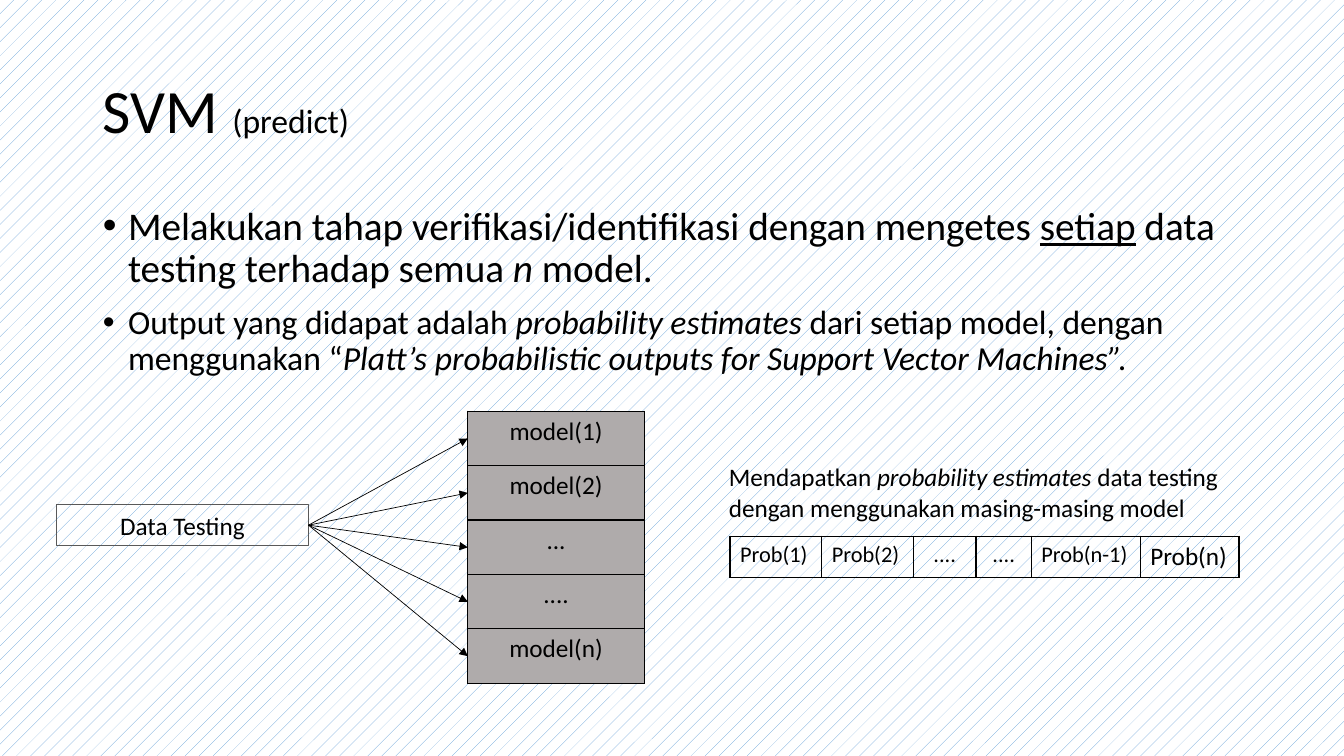
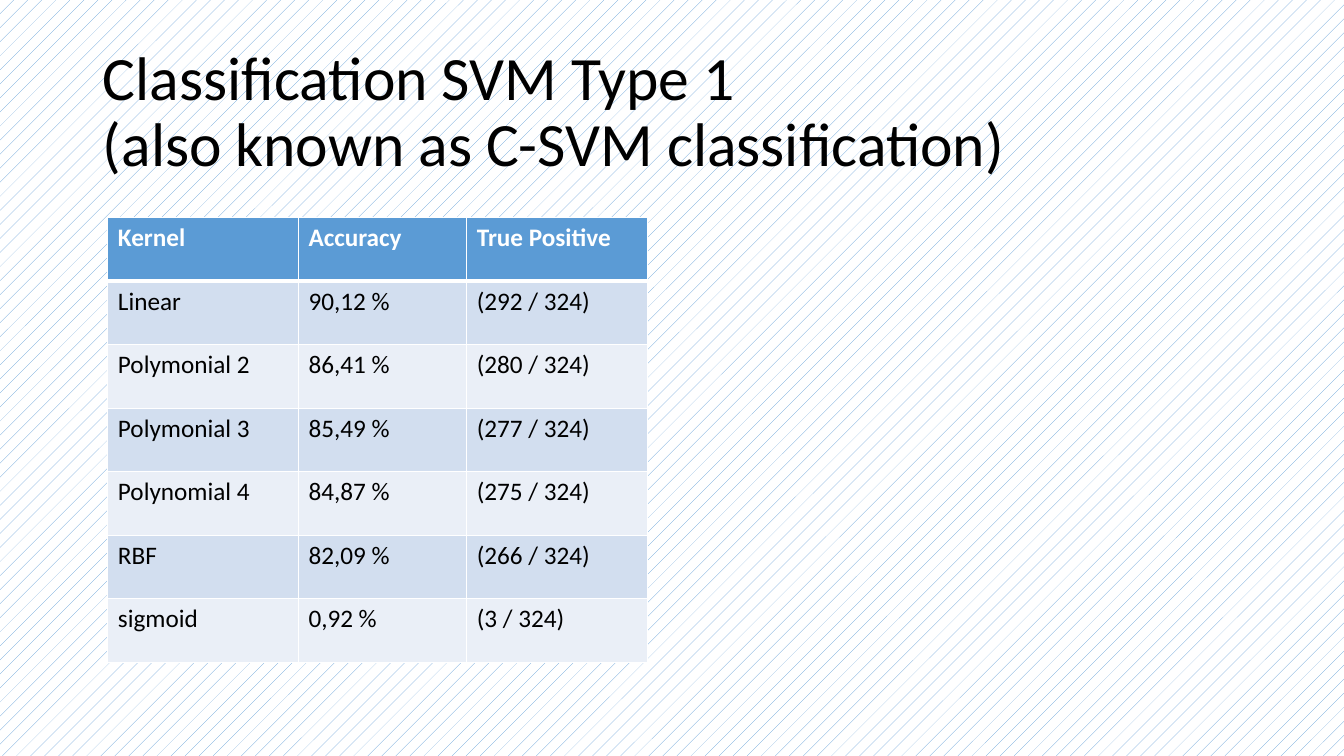
from dataclasses import dataclass

from lxml import etree
from pptx import Presentation
from pptx.dml.color import RGBColor
from pptx.enum.dml import MSO_PATTERN
from pptx.enum.shapes import MSO_CONNECTOR, MSO_SHAPE
from pptx.enum.text import MSO_ANCHOR, MSO_AUTO_SIZE, PP_ALIGN
from pptx.oxml.ns import qn
from pptx.util import Inches, Pt


@dataclass(frozen=True)
class Theme:
    font: str = "Calibri"
    ink: str = "000000"
    paper: str = "FFFFFF"
    accent: str = "5B9BD5"
    bands: tuple = ("D2DEEF", "EAEFF7")
    model: str = "AFABAB"
    outline: str = "595959"
    title: int = 44
    bullet: int = 28
    detail: int = 24
    label: int = 18
    small: int = 16


T = Theme()

PREDICT_TITLE = ["SVM ", ("(predict)", {"size": T.detail})]
ITALIC = {"italic": True}
BULLETS = [
    (T.bullet, ["Melakukan tahap verifikasi/identifikasi dengan mengetes ",
                ("setiap", {"underline": True}),
                " data testing terhadap semua ", ("n", ITALIC), " model."]),
    (T.detail, ["Output yang didapat adalah ", ("probability estimates ", ITALIC),
                "dari setiap model, dengan menggunakan “",
                ("Platt’s probabilistic outputs for Support Vector Machines", ITALIC),
                ("”.", ITALIC)]),
]
MODELS = ["model(1)", "model(2)", "...", "....", "model(n)"]
MODEL_LEFT, MODEL_TOP, MODEL_ROW = 4.64, 4.08, 0.54
PROB_NOTE = ["Mendapatkan ", ("probability estimates", ITALIC),
             " data testing dengan menggunakan masing-masing model"]
PROBS = ["Prob(1)", "Prob(2)", "....", "....", "Prob(n-1)", "Prob(n)"]
PROB_WIDTHS = [0.91, 0.91, 0.62, 0.55, 1.08, 0.98]

KERNEL_TITLE = ["Classification SVM Type 1", "\n", "(also known as C-SVM classification)"]
KERNELS = [
    ("Kernel", "Accuracy", "True Positive"),
    ("Linear", "90,12 %", "(292 / 324)"),
    ("Polymonial 2", "86,41 %", "(280 / 324)"),
    ("Polymonial 3", "85,49 %", "(277 / 324)"),
    ("Polynomial 4", "84,87 %", "(275 / 324)"),
    ("RBF", "82,09 %", "(266 / 324)"),
    ("sigmoid", "0,92 %", "(3 / 324)"),
]
KERNEL_WIDTHS = [1.89, 1.67, 1.79]


def rgb(color):
    return RGBColor.from_string(color)


def write(p, runs, size=T.label, color=T.ink, bold=False, align=PP_ALIGN.LEFT, spacing=None):
    p.alignment = align
    if spacing:
        p.line_spacing = spacing
    for run in [runs] if isinstance(runs, str) else runs:
        if run == "\n":
            p.add_line_break()
            continue
        text, style = (run, {}) if isinstance(run, str) else run
        r = p.add_run()
        r.text = text
        r.font.name = T.font
        r.font.size = Pt(style.get("size", size))
        r.font.color.rgb = rgb(color)
        r.font.bold = bold
        r.font.italic = style.get("italic", False)
        r.font.underline = style.get("underline", False)


def place(sp, *box):
    sp.left, sp.top, sp.width, sp.height = map(Inches, box)


def add_slide(prs, layout, title):
    s = prs.slides.add_slide(prs.slide_layouts.get_by_name(layout))
    sp = s.shapes.title
    place(sp, 0.92, 0.4, 11.5, 1.45)
    tf = sp.text_frame
    tf.auto_size = MSO_AUTO_SIZE.NONE
    tf.vertical_anchor = MSO_ANCHOR.MIDDLE
    write(tf.paragraphs[0], title, size=T.title, spacing=0.9)
    return s


def border(cell, color, bottom=1):
    tc_pr = cell._tc.get_or_add_tcPr()
    for side, width in (("L", 1), ("R", 1), ("T", 1), ("B", bottom)):
        ln = etree.SubElement(tc_pr, qn(f"a:ln{side}"), w=str(Pt(width)))
        fill = etree.SubElement(ln, qn("a:solidFill"))
        etree.SubElement(fill, qn("a:srgbClr"), val=color)


def add_table(s, left, top, widths, row_height, rows, style):
    frame = s.shapes.add_table(len(rows), len(widths), Inches(left), Inches(top),
                               Inches(sum(widths)), Inches(row_height * len(rows)))
    table = frame.table
    table.first_row = table.horz_banding = False
    for column, width in zip(table.columns, widths):
        column.width = Inches(width)
    for i, row in enumerate(rows):
        table.rows[i].height = Inches(row_height)
        for j, text in enumerate(row):
            look = style(i, j)
            cell = table.cell(i, j)
            border(cell, look["line"], look.get("bottom", 1))
            if look.get("fill"):
                cell.fill.solid()
                cell.fill.fore_color.rgb = rgb(look["fill"])
            else:
                cell.fill.background()
            write(cell.text_frame.paragraphs[0], text, **look.get("text", {}))


def add_arrow(s, source, x, y):
    line = s.shapes.add_connector(MSO_CONNECTOR.STRAIGHT, 0, 0, Inches(x), Inches(y))
    line.begin_connect(source, 3)
    line.line.color.rgb = rgb(T.ink)
    line.line.width = Pt(0.5)
    etree.SubElement(line.line._get_or_add_ln(), qn("a:tailEnd"), type="triangle")
    etree.SubElement(line._element.spPr, qn("a:effectLst"))


def model_style(i, j):
    return {"line": T.ink, "fill": T.model, "text": {"align": PP_ALIGN.CENTER}}


def prob_style(i, j):
    last = j == len(PROBS) - 1
    align = PP_ALIGN.CENTER if PROBS[j] == "...." else PP_ALIGN.LEFT
    return {"line": T.ink, "text": {"size": T.label if last else T.small, "align": align}}


def kernel_style(i, j):
    if i == 0:
        return {"line": T.paper, "bottom": 3, "fill": T.accent,
                "text": {"color": T.paper, "bold": True}}
    return {"line": T.paper, "fill": T.bands[(i - 1) % 2]}


def predict_slide(prs):
    s = add_slide(prs, "Title and Content", PREDICT_TITLE)
    body = s.placeholders[1]
    place(body, 0.92, 2, 11.5, 4.76)
    tf = body.text_frame
    tf.auto_size = MSO_AUTO_SIZE.NONE
    for i, (size, runs) in enumerate(BULLETS):
        p = tf.add_paragraph() if i else tf.paragraphs[0]
        write(p, runs, size=size, spacing=0.9)
        p.space_before = Pt(10)
        p_pr = p._p.get_or_add_pPr()
        p_pr.set("marL", str(Inches(0.25)))
        p_pr.set("indent", str(Inches(-0.25)))

    add_table(s, MODEL_LEFT, MODEL_TOP, [1.75], MODEL_ROW, [[m] for m in MODELS], model_style)

    data = s.shapes.add_shape(MSO_SHAPE.RECTANGLE, Inches(0.56), Inches(5.01),
                              Inches(2.5), Inches(0.4))
    data.shadow.inherit = False
    data.fill.background()
    data.line.color.rgb = rgb(T.outline)
    data.line.width = Pt(0.75)
    data.text_frame.vertical_anchor = MSO_ANCHOR.MIDDLE
    write(data.text_frame.paragraphs[0], "Data Testing", align=PP_ALIGN.CENTER)
    for i in range(len(MODELS)):
        add_arrow(s, data, MODEL_LEFT, MODEL_TOP + MODEL_ROW * (i + 0.5))

    add_table(s, 7.24, 5.32, PROB_WIDTHS, 0.4, [PROBS], prob_style)
    note = s.shapes.add_textbox(Inches(7.13), Inches(4.53), Inches(5.62), Inches(0.71))
    note.text_frame.word_wrap = True
    write(note.text_frame.paragraphs[0], PROB_NOTE)


def kernel_slide(prs):
    s = add_slide(prs, "Title Only", KERNEL_TITLE)
    add_table(s, 1.07, 2.16, KERNEL_WIDTHS, 0.63, KERNELS, kernel_style)


def main():
    prs = Presentation()
    prs.slide_width, prs.slide_height = Inches(13.33), Inches(7.5)
    fill = prs.slide_master.background.fill
    fill.patterned()
    fill.pattern = MSO_PATTERN.PERCENT_5
    fill.fore_color.rgb = rgb(T.accent)
    fill.back_color.rgb = rgb(T.paper)
    predict_slide(prs)
    kernel_slide(prs)
    prs.save("out.pptx")


if __name__ == "__main__":
    main()
